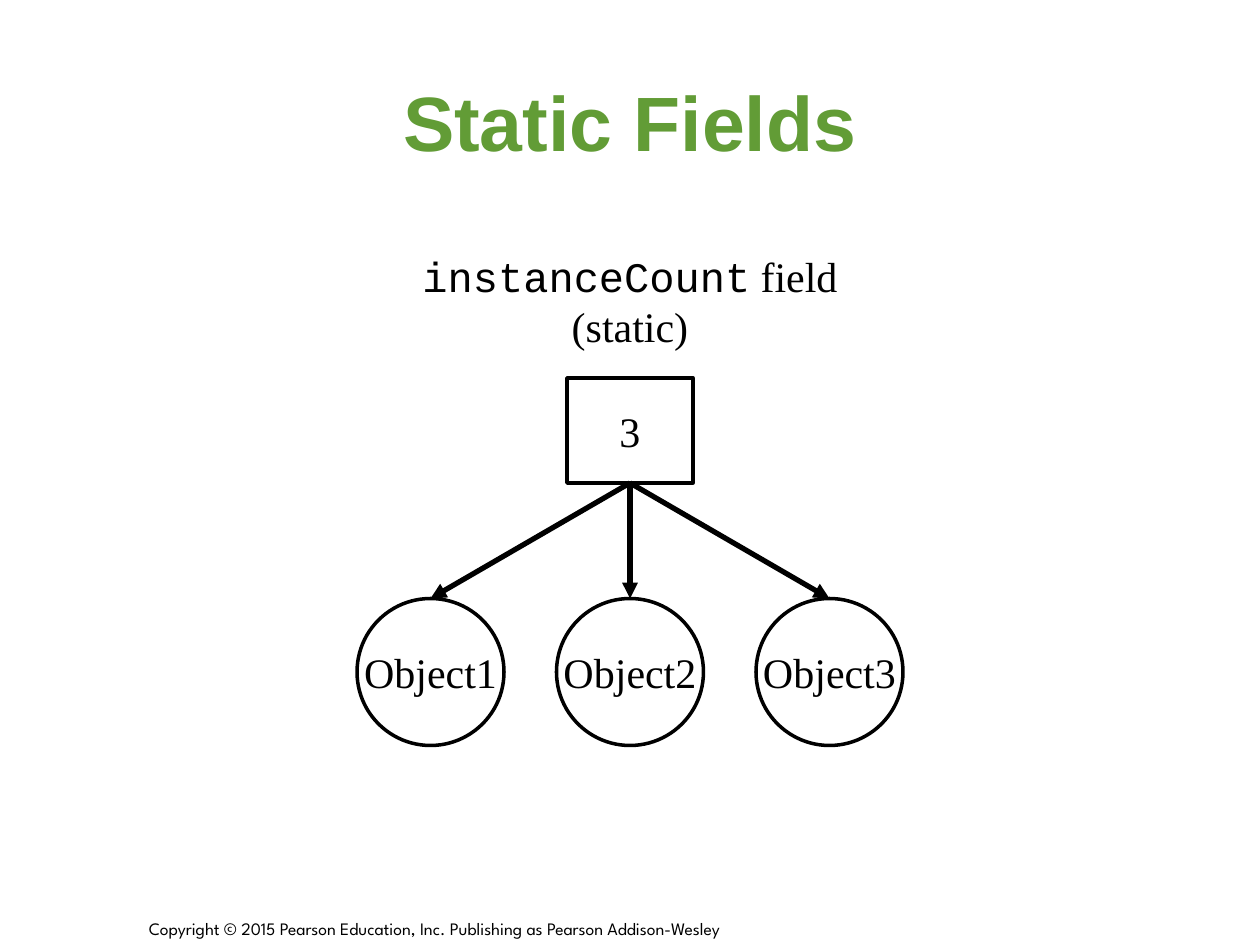
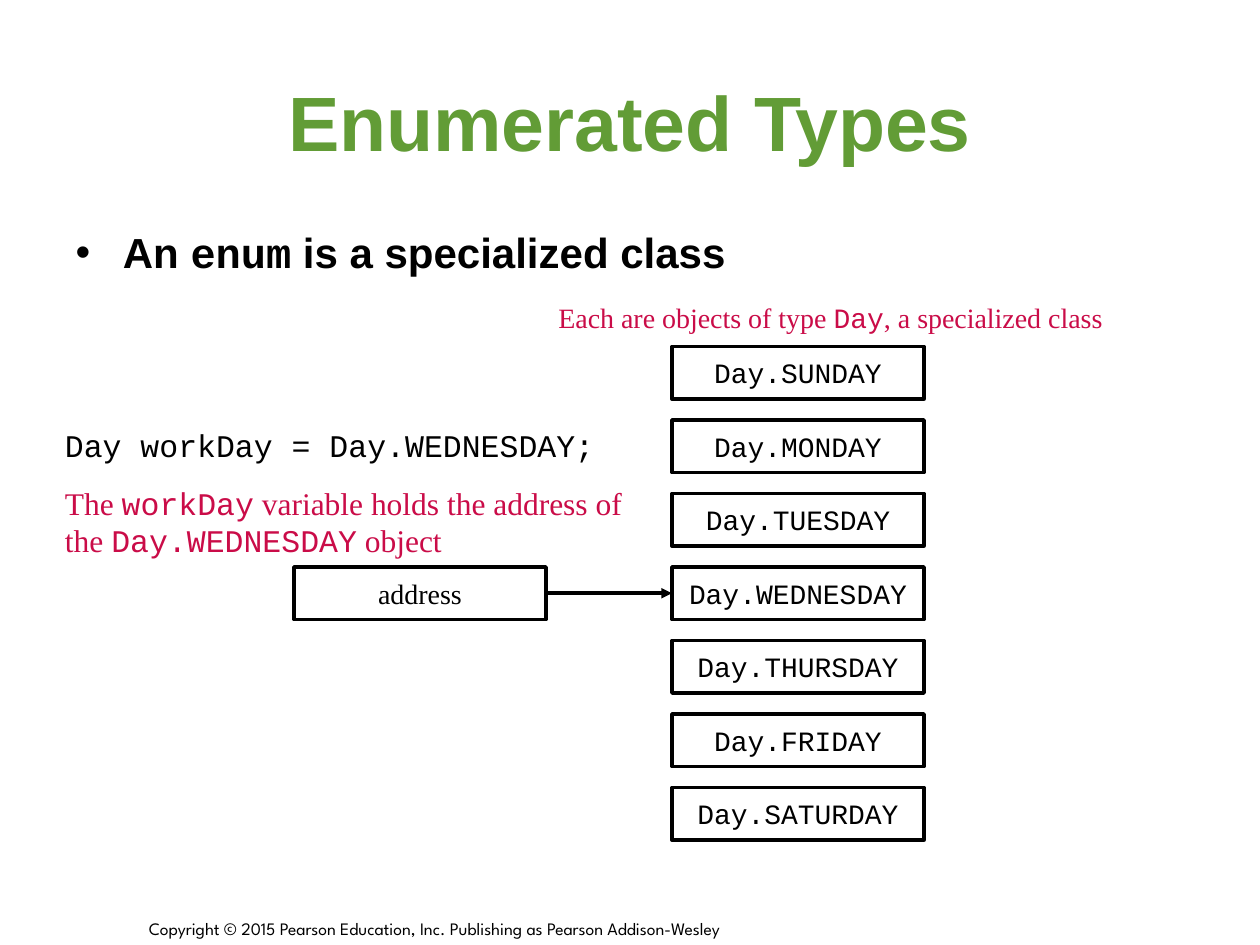
from lxml.etree import SubElement
from pptx import Presentation
from pptx.dml.color import RGBColor
from pptx.enum.shapes import MSO_CONNECTOR, MSO_SHAPE
from pptx.enum.text import MSO_ANCHOR, MSO_AUTO_SIZE, PP_ALIGN
from pptx.oxml.ns import qn
from pptx.util import Pt

GREEN = RGBColor(0x62, 0x9C, 0x36)
RED = RGBColor(0xCA, 0x0C, 0x48)
BLACK = RGBColor(0, 0, 0)
WHITE = RGBColor(255, 255, 255)

SANS, SERIF, MONO = "Arial", "Times New Roman", "Courier New"
FOOTER_FONT = "League Spartan"
TOP, LEFT, BOTTOM, RIGHT = range(4)  # connection sites

# A paragraph is a list of (text, font) runs.
FOOTER = [("Copyright © 2015 Pearson Education, Inc. Publishing as Pearson Addison-Wesley",
           FOOTER_FONT)]

FIELD_LABEL = [
    [("instanceCount", MONO), (" field", SERIF)],
    [("(static)", SERIF)],
]
FIELD_VALUE = "3"
OBJECTS = ["Object1", "Object2", "Object3"]

ENUM_BULLET = [("An ", SANS), ("enum", MONO), (" is a specialized class", SANS)]
DAYS_CAPTION = [("Each are objects of type ", SERIF), ("Day", MONO),
                (", a specialized class", SERIF)]
DECLARATION = [("Day workDay = Day.WEDNESDAY;", MONO)]
EXPLANATION = [("The ", SERIF), ("workDay", MONO),
               (" variable holds the address of the ", SERIF),
               ("Day.WEDNESDAY", MONO), (" object", SERIF)]
DAYS = ["SUNDAY", "MONDAY", "TUESDAY", "WEDNESDAY", "THURSDAY", "FRIDAY", "SATURDAY"]
WORK_DAY = "WEDNESDAY"

# Left, top, width, height in points
TITLE_BOX = (36, 24, 648, 90)
BODY_BOX = (36, 126, 648, 356)
FOOTER_BOX = (78, 516, 516, 24)
FIELD_LABEL_BOX = (204, 139.5, 312, 65)
FIELD_BOX = (324, 216, 72, 60)
CIRCLE_LEFT, CIRCLE_TOP, CIRCLE_SIZE, CIRCLE_STEP = 204, 342, 84, 114
DAY_LEFT, DAY_TOP, DAY_WIDTH, DAY_HEIGHT, DAY_STEP = 384, 198, 144, 30, 42
ADDRESS_LEFT = 168
CAPTION_BOX = (312, 168, 330, 26.5)
CODE_BOX = (30, 240, 342, 83.5)


def place(shape, box):
    for name, value in zip(("left", "top", "width", "height"), box):
        setattr(shape, name, Pt(value))


def write_runs(paragraph, runs, size, color=BLACK, bold=False,
               align=PP_ALIGN.LEFT, space_before=0):
    paragraph.alignment = align
    paragraph.space_before = Pt(space_before)
    for text, font_name in runs:
        run = paragraph.add_run()
        run.text = text
        font_format = {"name": font_name, "size": Pt(size), "bold": bold}
        for name, value in font_format.items():
            setattr(run.font, name, value)
        run.font.color.rgb = color


def add_text_box(slide, box, anchor=MSO_ANCHOR.TOP):
    text_box = slide.shapes.add_textbox(*map(Pt, box))
    text_box.text_frame.word_wrap = True
    text_box.text_frame.vertical_anchor = anchor
    return text_box


def add_titled_slide(presentation, layout_index, title):
    slide = presentation.slides.add_slide(presentation.slide_layouts[layout_index])
    shape = slide.shapes.title
    place(shape, TITLE_BOX)
    shape.text_frame.auto_size = MSO_AUTO_SIZE.NONE
    shape.text_frame.vertical_anchor = MSO_ANCHOR.MIDDLE
    write_runs(shape.text_frame.paragraphs[0], [(title, SANS)], 44, GREEN,
               bold=True, align=PP_ALIGN.CENTER)
    return slide


def add_node(slide, kind, box, text, font_name, size):
    """Add a white outlined shape with centred, unwrapped text."""
    node = slide.shapes.add_shape(kind, *map(Pt, box))
    node.shadow.inherit = False
    node.fill.solid()
    node.fill.fore_color.rgb = WHITE
    node.line.color.rgb = BLACK
    node.line.width = Pt(2)
    node.text_frame.word_wrap = False
    node.text_frame.vertical_anchor = MSO_ANCHOR.MIDDLE
    write_runs(node.text_frame.paragraphs[0], [(text, font_name)], size,
               align=PP_ALIGN.CENTER)
    return node


def add_arrow(slide, start, start_site, end, end_site, width):
    arrow = slide.shapes.add_connector(MSO_CONNECTOR.STRAIGHT, 0, 0, 0, 0)
    arrow.begin_connect(start, start_site)
    arrow.end_connect(end, end_site)
    arrow.line.color.rgb = BLACK
    arrow.line.width = Pt(width)
    properties = arrow.element.spPr
    SubElement(properties.find(qn("a:ln")), qn("a:tailEnd"), type="triangle")
    SubElement(properties, qn("a:effectLst"))


def move_footer_to_master(presentation, slide):
    """Build the footer on a slide, then hand it to the master that all slides share."""
    footer = add_text_box(slide, FOOTER_BOX, MSO_ANCHOR.BOTTOM)
    write_runs(footer.text_frame.paragraphs[0], FOOTER, 10)
    presentation.slide_master.shapes.element.append(footer.element)


def build_static_fields(presentation):
    slide = add_titled_slide(presentation, 5, "Static Fields")
    move_footer_to_master(presentation, slide)

    frame = add_text_box(slide, FIELD_LABEL_BOX).text_frame
    for index, runs in enumerate(FIELD_LABEL):
        paragraph = frame.add_paragraph() if index else frame.paragraphs[0]
        write_runs(paragraph, runs, 24, align=PP_ALIGN.CENTER)

    field = add_node(slide, MSO_SHAPE.RECTANGLE, FIELD_BOX, FIELD_VALUE, SERIF, 24)
    for index, name in enumerate(OBJECTS):
        box = (CIRCLE_LEFT + index * CIRCLE_STEP, CIRCLE_TOP, CIRCLE_SIZE, CIRCLE_SIZE)
        circle = add_node(slide, MSO_SHAPE.OVAL, box, name, SERIF, 24)
        add_arrow(slide, field, BOTTOM, circle, TOP, 3)


def build_enumerated_types(presentation):
    slide = add_titled_slide(presentation, 1, "Enumerated Types")
    body = slide.placeholders[1]
    place(body, BODY_BOX)
    body.text_frame.auto_size = MSO_AUTO_SIZE.NONE
    write_runs(body.text_frame.paragraphs[0], ENUM_BULLET, 24, bold=True)

    day_nodes = {}
    for index, day in enumerate(DAYS):
        box = (DAY_LEFT, DAY_TOP + index * DAY_STEP, DAY_WIDTH, DAY_HEIGHT)
        day_nodes[day] = add_node(slide, MSO_SHAPE.FLOWCHART_PROCESS, box,
                                  f"Day.{day}", MONO, 16)

    address_top = DAY_TOP + DAYS.index(WORK_DAY) * DAY_STEP
    address = add_node(slide, MSO_SHAPE.FLOWCHART_PROCESS,
                       (ADDRESS_LEFT, address_top, DAY_WIDTH, DAY_HEIGHT),
                       "address", SERIF, 16)

    caption = add_text_box(slide, CAPTION_BOX).text_frame
    write_runs(caption.paragraphs[0], DAYS_CAPTION, 16, RED)

    code = add_text_box(slide, CODE_BOX).text_frame
    write_runs(code.paragraphs[0], DECLARATION, 18)
    write_runs(code.add_paragraph(), EXPLANATION, 18, RED, space_before=11.2)

    add_arrow(slide, address, RIGHT, day_nodes[WORK_DAY], LEFT, 2)


def main():
    presentation = Presentation()
    presentation.slide_width = Pt(720)
    presentation.slide_height = Pt(540)
    build_static_fields(presentation)
    build_enumerated_types(presentation)
    presentation.save("out.pptx")


if __name__ == "__main__":
    main()
